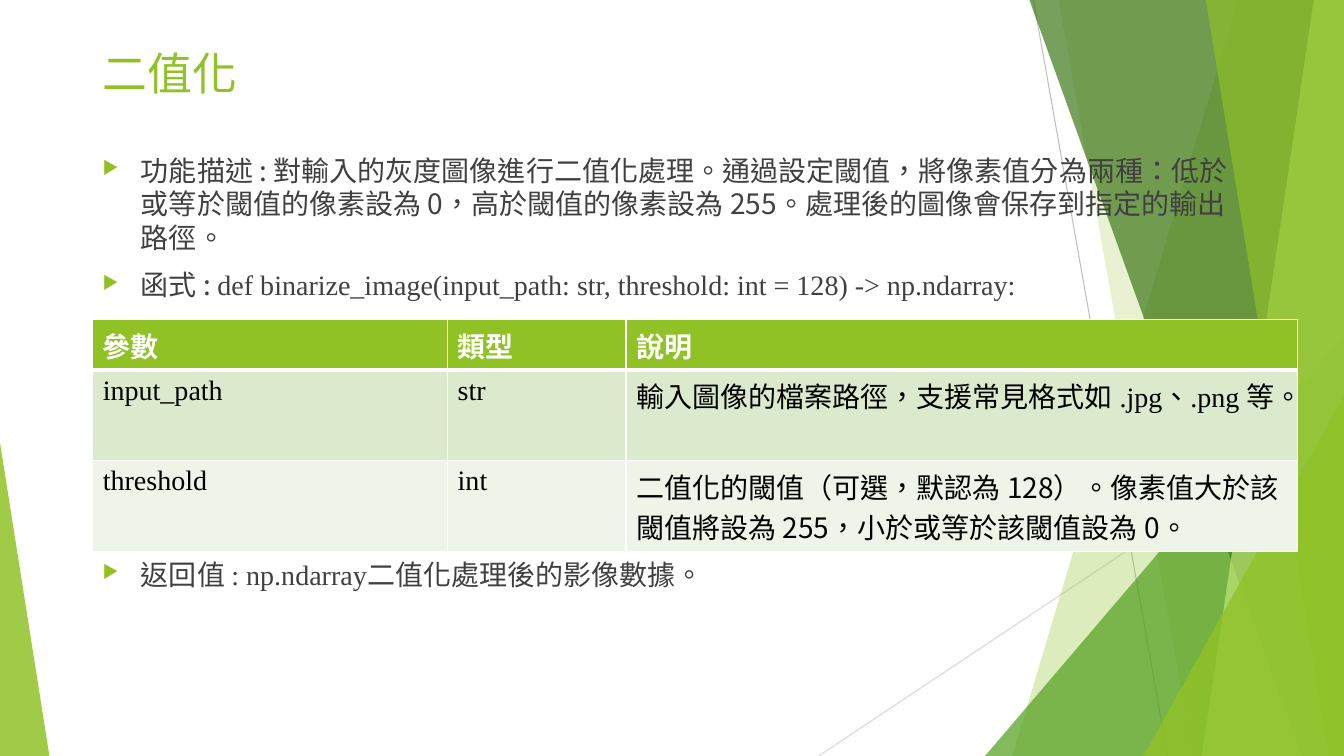
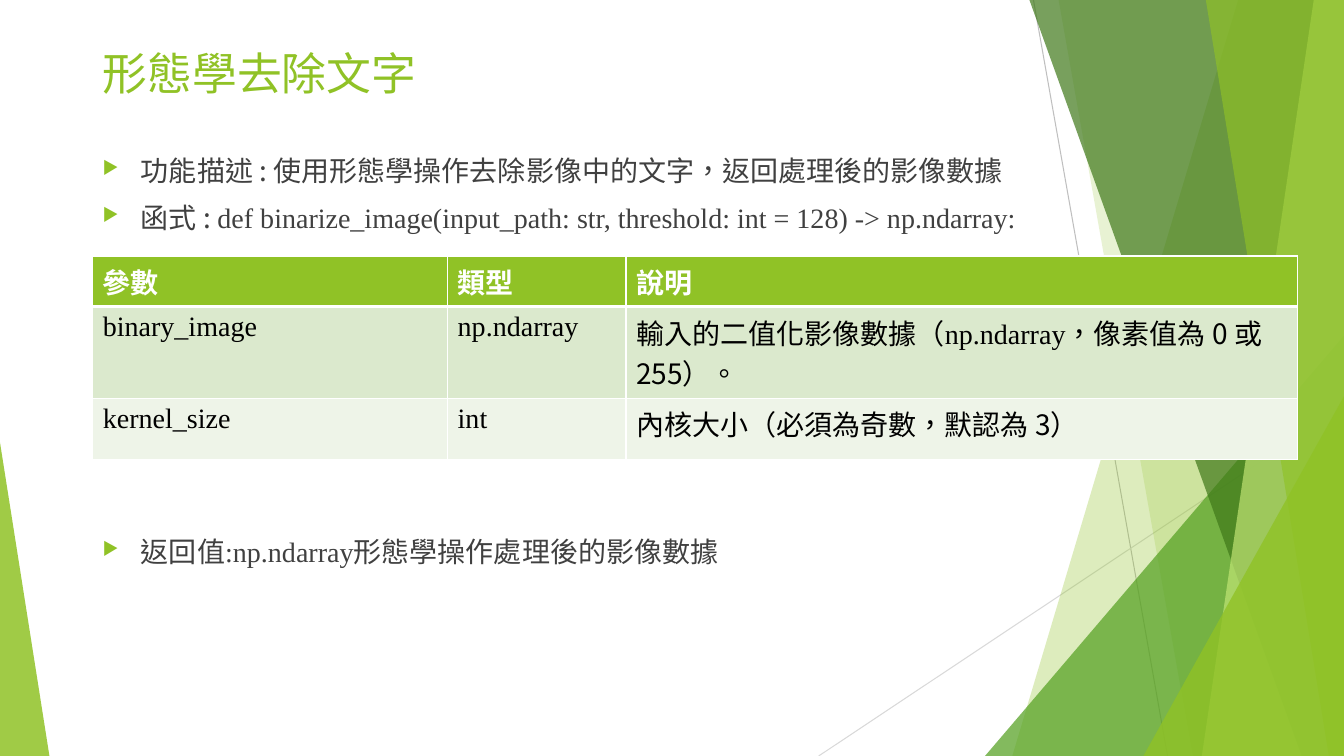
from dataclasses import dataclass
from typing import NamedTuple

import lxml.etree
import pptx
import pptx.dml.color
import pptx.enum.lang
import pptx.enum.shapes
import pptx.enum.text
import pptx.oxml.ns
import pptx.util

Inches = pptx.util.Inches
Pt = pptx.util.Pt
qn = pptx.oxml.ns.qn

WIDTH, HEIGHT = 13.33, 7.5
LEFT = 0.92
TEXT_WIDTH = 11.5
BODY_TOP = 1.47
CJK, LATIN = "Noto Sans CJK SC", "Times New Roman"
GREEN, WHITE, BLACK, TEXT_GRAY = "90C226", "FFFFFF", "000000", "404040"
BAND_FILLS = ("DBE9CD", "EEF4E8")
COLUMN_WIDTHS = (3.52, 1.77, 6.66)
COLUMN_HEADS = ("參數", "類型", "說明")
SIGNATURE = "def binarize_image(input_path: str, threshold: int = 128) -> np.ndarray:"


class Piece(NamedTuple):
    text: str
    font: str = CJK


class Ray(NamedTuple):
    start: tuple[float, float]
    end: tuple[float, float]
    color: str


class Band(NamedTuple):
    """A strip from the top edge to the bottom edge, closed by the right edge."""
    top_x: float
    bottom_x: float
    color: str
    opacity: int


class Corner(NamedTuple):
    """A triangle standing on the bottom edge; apex is 0 (left) or 1 (right)."""
    left: float
    top: float
    width: float
    apex: int
    color: str
    opacity: int


@dataclass
class Parameter:
    name: str
    kind: str
    meaning: list[Piece]
    row_height: float


@dataclass
class FunctionPage:
    title: str
    purpose: str
    table_top: float
    parameters: list[Parameter]
    result_top: float
    result: list[Piece]


RAYS = (
    Ray((10.25, 0), (11.58, HEIGHT), "BFBFBF"),
    Ray((WIDTH, 4.03), (8.12, HEIGHT), "D9D9D9"),
)
FACETS = (
    Band(12.28, 10.04, GREEN, 30),
    Band(10.5, 11.83, GREEN, 20),
    Corner(9.77, 3.33, 3.56, 1, "54A021", 72),
    Band(10.21, 12.91, "3F7819", 70),
    Band(13.03, 11.92, "C0E474", 70),
    Band(11.96, 13.18, GREEN, 65),
    Corner(11.34, 3.93, 1.99, 1, GREEN, 80),
    Corner(0, 4.39, 0.49, 0, GREEN, 85),
)
PAGES = (
    FunctionPage(
        "二值化",
        "對輸入的灰度圖像進行二值化處理。通過設定閾值，將像素值分為兩種：低於或等於閾值的像素設為 0，"
        "高於閾值的像素設為 255。處理後的圖像會保存到指定的輸出路徑。",
        3.17,
        [
            Parameter("input_path", "str", [
                Piece("輸入圖像的檔案路徑，支援常見格式如 "), Piece(".jpg、.png 等。", LATIN)], 0.9),
            Parameter("threshold", "int", [
                Piece("二值化的閾值（可選，默認為 128）。像素值大於該閾值將設為 255，"
                      "小於或等於該閾值設為 0。")], 0.9),
        ],
        5.48,
        [Piece("返回值 "), Piece(": np.ndarray", LATIN), Piece("二值化處理後的影像數據。")],
    ),
    FunctionPage(
        "形態學去除文字",
        "使用形態學操作去除影像中的文字，返回處理後的影像數據",
        2.54,
        [
            Parameter("binary_image", "np.ndarray", [
                Piece("輸入的二值化影像數據（"), Piece("np.ndarray", LATIN),
                Piece("，像素值為 0 或 255）。")], 0.91),
            Parameter("kernel_size", "int", [Piece("內核大小（必須為奇數，默認為 3）")], 0.61),
        ],
        5.25,
        [Piece("返回值"), Piece(":np.ndarray", LATIN), Piece("形態學操作處理後的影像數據")],
    ),
)


def rgb(color: str) -> pptx.dml.color.RGBColor:
    return pptx.dml.color.RGBColor.from_string(color)


def paint(shape, color: str, opacity: int) -> None:
    shape.shadow.inherit = False
    shape.line.fill.background()
    shape.fill.solid()
    shape.fill.fore_color.rgb = rgb(color)
    color_element = shape._element.spPr.find(qn("a:solidFill")).find(qn("a:srgbClr"))
    lxml.etree.SubElement(color_element, qn("a:alpha"), val=str(opacity * 1000))


def add_ray(slide, ray: Ray) -> None:
    line = slide.shapes.add_connector(
        pptx.enum.shapes.MSO_CONNECTOR.STRAIGHT, *map(Inches, ray.start + ray.end))
    line.line.color.rgb = rgb(ray.color)
    line.line.width = Pt(0.75)
    lxml.etree.SubElement(line._element.spPr, qn("a:effectLst"))


def add_band(slide, band: Band) -> None:
    corners = [(band.top_x, 0), (WIDTH, 0), (WIDTH, HEIGHT), (band.bottom_x, HEIGHT)]
    points = [(Inches(x), Inches(y)) for x, y in corners]
    outline = slide.shapes.build_freeform(*points[0])
    outline.add_line_segments(points[1:], close=True)
    paint(outline.convert_to_shape(), band.color, band.opacity)


def add_corner(slide, corner: Corner) -> None:
    triangle = slide.shapes.add_shape(
        pptx.enum.shapes.MSO_SHAPE.ISOSCELES_TRIANGLE, Inches(corner.left),
        Inches(corner.top), Inches(corner.width), Inches(HEIGHT - corner.top))
    triangle.adjustments[0] = corner.apex
    paint(triangle, corner.color, corner.opacity)


def add_backdrop(slide) -> None:
    for ray in RAYS:
        add_ray(slide, ray)
    for facet in FACETS:
        if isinstance(facet, Band):
            add_band(slide, facet)
        else:
            add_corner(slide, facet)


def write(paragraph, pieces: list[Piece], color: str, size: int = 20,
          bold: bool = False) -> None:
    for piece in pieces:
        run = paragraph.add_run()
        run.text = piece.text
        font = run.font
        font.size, font.bold, font.name = Pt(size), bold, piece.font
        font.color.rgb = rgb(color)
        font.language_id = pptx.enum.lang.MSO_LANGUAGE_ID.TRADITIONAL_CHINESE
        lxml.etree.SubElement(font._element, qn("a:ea"), typeface=CJK)


def add_text_frame(slide, top: float, height: float):
    box = slide.shapes.add_textbox(
        Inches(LEFT), Inches(top), Inches(TEXT_WIDTH), Inches(height))
    box.text_frame.word_wrap = True
    box.text_frame.vertical_anchor = pptx.enum.text.MSO_ANCHOR.TOP
    return box.text_frame


def add_bullets(slide, top: float, height: float, items: list[list[Piece]]) -> None:
    frame = add_text_frame(slide, top, height)
    for index, pieces in enumerate(items):
        paragraph = frame.add_paragraph() if index else frame.paragraphs[0]
        paragraph.line_spacing = 1.0
        paragraph.space_before = Pt(10 if index else 0)
        properties = paragraph._p.get_or_add_pPr()
        properties.set("marL", str(Inches(0.38)))
        properties.set("indent", str(Inches(-0.38)))
        bullet_color = lxml.etree.SubElement(properties, qn("a:buClr"))
        lxml.etree.SubElement(bullet_color, qn("a:srgbClr"), val=GREEN)
        lxml.etree.SubElement(properties, qn("a:buSzPct"), val="65000")
        lxml.etree.SubElement(properties, qn("a:buChar"), char="▶")
        write(paragraph, pieces, TEXT_GRAY)


def set_borders(cell, top: int, bottom: int) -> None:
    """Draw white borders; must run before the cell is filled."""
    properties = cell._tc.get_or_add_tcPr()
    for side, width in (("L", 1), ("R", 1), ("T", top), ("B", bottom)):
        edge = lxml.etree.SubElement(properties, qn(f"a:ln{side}"), w=str(Pt(width)))
        solid = lxml.etree.SubElement(edge, qn("a:solidFill"))
        lxml.etree.SubElement(solid, qn("a:srgbClr"), val=WHITE)


def add_parameter_table(slide, top: float, parameters: list[Parameter]) -> None:
    heights = [0.5] + [parameter.row_height for parameter in parameters]
    table = slide.shapes.add_table(
        len(heights), len(COLUMN_WIDTHS), Inches(LEFT), Inches(top),
        Inches(sum(COLUMN_WIDTHS)), Inches(sum(heights))).table
    table.horz_banding = False
    for column, width in zip(table.columns, COLUMN_WIDTHS):
        column.width = Inches(width)
    rows = [[[Piece(head)] for head in COLUMN_HEADS]]
    rows += [[[Piece(p.name, LATIN)], [Piece(p.kind, LATIN)], p.meaning] for p in parameters]
    for row_index, (row, height) in enumerate(zip(rows, heights)):
        table.rows[row_index].height = Inches(height)
        is_head = row_index == 0
        fill = GREEN if is_head else BAND_FILLS[(row_index - 1) % 2]
        for column_index, pieces in enumerate(row):
            cell = table.cell(row_index, column_index)
            set_borders(cell, 3 if row_index == 1 else 1, 3 if is_head else 1)
            cell.fill.solid()
            cell.fill.fore_color.rgb = rgb(fill)
            write(cell.text_frame.paragraphs[0], pieces,
                  WHITE if is_head else BLACK, bold=is_head)


def add_page(deck, page: FunctionPage) -> None:
    slide = deck.slides.add_slide(deck.slide_layouts[6])
    add_backdrop(slide)
    write(add_text_frame(slide, 0.4, 1.07).paragraphs[0], [Piece(page.title)], GREEN, 32)
    add_bullets(slide, BODY_TOP, page.table_top - BODY_TOP, [
        [Piece("功能描述 : " + page.purpose)],
        [Piece("函式 : "), Piece(SIGNATURE, LATIN)],
    ])
    add_parameter_table(slide, page.table_top, page.parameters)
    add_bullets(slide, page.result_top, 0.5, [page.result])


def main() -> None:
    deck = pptx.Presentation()
    deck.slide_width, deck.slide_height = Inches(WIDTH), Inches(HEIGHT)
    for page in PAGES:
        add_page(deck, page)
    deck.save("out.pptx")


if __name__ == "__main__":
    main()
